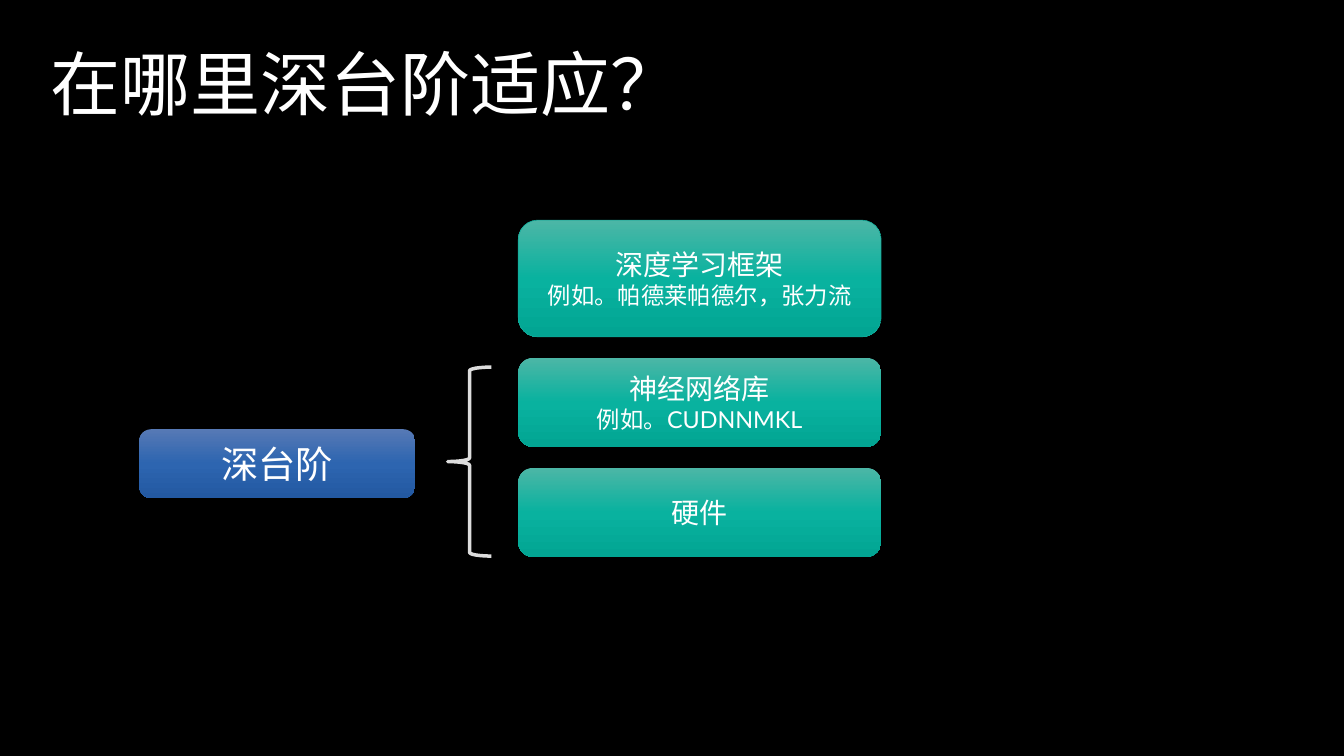
from copy import deepcopy
from dataclasses import dataclass
from typing import Optional

from pptx import Presentation
from pptx import util as u
from pptx.dml.color import RGBColor
from pptx.enum import shapes, text


@dataclass(frozen=True)
class Theme:
    font: str = "Lato"
    back: str = "000000"
    ink: str = "FFFFFF"
    brace: str = "DDDDDD"
    edge: str = "11AA99"
    teal: tuple[str, ...] = ("4CB6A6", "09B29F", "02A593")
    blue: tuple[str, ...] = ("5679B5", "2D65B0", "2359A2")
    title: int = 60
    lead: int = 32
    head: int = 24
    note: int = 20


@dataclass(frozen=True)
class Line:
    words: str
    size: int


@dataclass(frozen=True)
class Card:
    lines: tuple[Line, ...]
    left: float
    top: float
    width: float
    height: float
    tones: tuple[str, ...]
    edge: Optional[str] = None


@dataclass(frozen=True)
class Layer:
    lines: tuple[Line, ...]
    height: float
    edge: Optional[str] = None


THEME = Theme()
LAYERS = (
    Layer((Line("深度学习框架", THEME.head),
           Line("例如。帕德莱帕德尔，张力流", THEME.note)), 1.39, THEME.edge),
    Layer((Line("神经网络库", THEME.head),
           Line("例如。CUDNNMKL", THEME.note)), 1.06),
    Layer((Line("硬件", THEME.head),), 1.06),
)
GAP = 0.25


def color(code: str) -> RGBColor:
    return RGBColor.from_string(code)


def write(frame, lines: tuple[Line, ...], align) -> None:
    frame.word_wrap = True
    for i, line in enumerate(lines):
        para = frame.paragraphs[0] if i == 0 else frame.add_paragraph()
        para.text = line.words
        para.alignment = align
        para.font.name = THEME.font
        para.font.size = u.Pt(line.size)
        para.font.color.rgb = color(THEME.ink)


def shade(fill, tones: tuple[str, ...]) -> None:
    fill.gradient()
    fill.gradient_angle = 270
    first = fill.gradient_stops[0]._gs
    for _ in tones[2:]:
        first.addnext(deepcopy(first))
    for i, (stop, tone) in enumerate(zip(fill.gradient_stops, tones)):
        stop.position = i / (len(tones) - 1)
        stop.color.rgb = color(tone)


def add_title(slide, line: Line) -> None:
    box = slide.shapes.add_textbox(
        u.Inches(0.5), u.Inches(0.5), u.Inches(15), u.Inches(1.2))
    frame = box.text_frame
    frame.margin_left = frame.margin_right = u.Inches(0.1)
    frame.margin_top = frame.margin_bottom = u.Inches(0.1)
    write(frame, (line,), text.PP_ALIGN.LEFT)
    frame.paragraphs[0].line_spacing = 0.9


def add_card(slide, card: Card) -> None:
    shape = slide.shapes.add_shape(
        shapes.MSO_SHAPE.ROUNDED_RECTANGLE, u.Inches(card.left),
        u.Inches(card.top), u.Inches(card.width), u.Inches(card.height))
    shape.shadow.inherit = False
    shade(shape.fill, card.tones)
    if card.edge:
        shape.line.color.rgb = color(card.edge)
        shape.line.width = u.Pt(0.5)
    else:
        shape.line.fill.background()
    shape.text_frame.vertical_anchor = text.MSO_ANCHOR.MIDDLE
    write(shape.text_frame, card.lines, text.PP_ALIGN.CENTER)


def add_brace(slide) -> None:
    brace = slide.shapes.add_shape(
        shapes.MSO_SHAPE.LEFT_BRACE, u.Inches(5.33), u.Inches(4.37),
        u.Inches(0.52), u.Inches(2.25))
    brace.shadow.inherit = False
    brace.fill.background()
    brace.line.color.rgb = color(THEME.brace)
    brace.line.width = u.Pt(3)


def main() -> None:
    deck = Presentation()
    deck.slide_width, deck.slide_height = u.Inches(16), u.Inches(9)
    slide = deck.slides.add_slide(deck.slide_layouts[6])
    slide.background.fill.solid()
    slide.background.fill.fore_color.rgb = color(THEME.back)

    add_title(slide, Line("在哪里深台阶适应？", THEME.title))
    top = 2.62
    for layer in LAYERS:
        add_card(slide, Card(layer.lines, 6.17, top, 4.32, layer.height,
                             THEME.teal, layer.edge))
        top += layer.height + GAP
    add_card(slide, Card((Line("深台阶", THEME.lead),),
                         1.66, 5.11, 3.28, 0.82, THEME.blue))
    add_brace(slide)
    deck.save("out.pptx")


if __name__ == "__main__":
    main()
